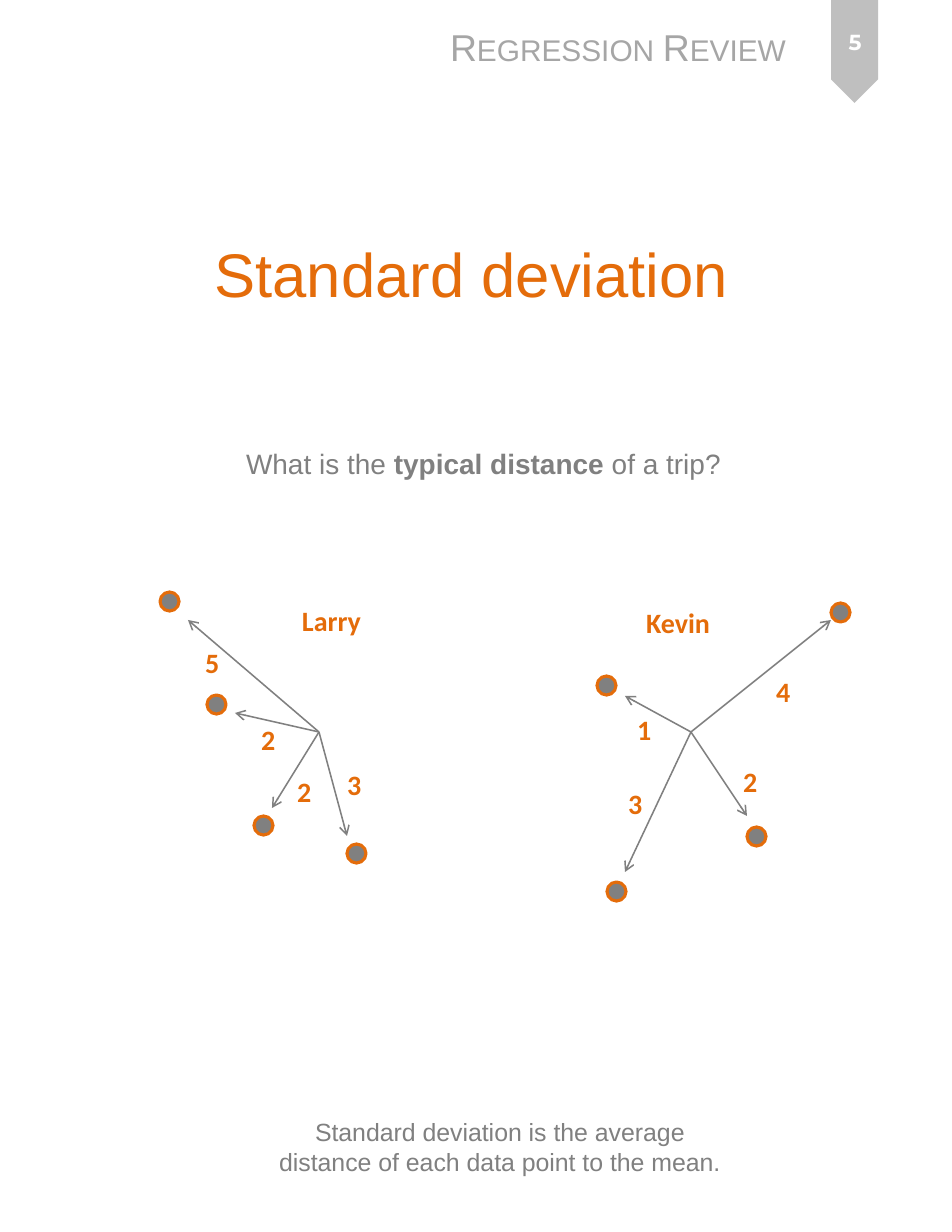
import pptx
import pptx.util
import pptx.dml.color
import pptx.enum.shapes
import pptx.enum.text
import pptx.oxml.ns
from lxml import etree

COLORS = {"orange": "E46C0A", "gray": "808080", "header": "A6A6A6",
          "ribbon": "BFBFBF", "white": "FFFFFF"}

# Each trip: distance, arrow tip, dot corner, label corner (px)
TRAVELLERS = [
    {"name": "Larry", "name_box": (291, 598, 82, 45), "home": (319, 732), "trips": [
        ("2", (235, 713), (207, 695), (250, 717)),
        ("2", (272, 808), (254, 816), (286, 769)),
        ("5", (188, 620), (160, 592), (194, 640)),
        ("3", (347, 836), (347, 844), (336, 762))]},
    {"name": "Kevin", "name_box": (635, 600, 87, 45), "home": (691, 732), "trips": [
        ("4", (831, 620), (831, 603), (765, 669)),
        ("2", (747, 816), (747, 827), (732, 759)),
        ("1", (625, 696), (597, 676), (626, 707)),
        ("3", (625, 872), (607, 882), (617, 781))]},
]
QUESTION = [("What is the ", False), ("typical distance ", True), ("of a trip?", False)]
CAPTION = "Standard deviation is the average distance of each data point to the mean."
DOT = 19
LABEL = (37, 45)


def px(value):
    return pptx.util.Emu(round(value * 914400 / 112))


def rgb(name):
    return pptx.dml.color.RGBColor.from_string(COLORS[name])


def add_text(box, runs, size, color, font="Arial", center=False, wrap=False, grow=True):
    """Add a text box holding one paragraph of (text, bold) runs."""
    text_box = slide.shapes.add_textbox(*map(px, box))
    frame = text_box.text_frame
    frame.word_wrap = wrap
    if grow:
        frame.auto_size = pptx.enum.text.MSO_AUTO_SIZE.SHAPE_TO_FIT_TEXT
    paragraph = frame.paragraphs[0]
    if center:
        paragraph.alignment = pptx.enum.text.PP_ALIGN.CENTER
    for text, bold in runs:
        run = paragraph.add_run()
        run.text = text
        run.font.name = font
        run.font.size = pptx.util.Pt(size)
        run.font.bold = bold
        run.font.color.rgb = rgb(color)
    return frame


def add_filled(kind, box, fill, outline=None):
    shape = slide.shapes.add_shape(kind, *map(px, box))
    shape.shadow.inherit = False
    shape.fill.solid()
    shape.fill.fore_color.rgb = rgb(fill)
    if outline:
        shape.line.color.rgb = rgb(outline)
        shape.line.width = pptx.util.Pt(2)
    else:
        shape.line.fill.background()
    return shape


def add_arrow(start, end):
    arrow = slide.shapes.add_connector(
        pptx.enum.shapes.MSO_CONNECTOR.STRAIGHT, *map(px, start + end))
    arrow.line.color.rgb = rgb("gray")
    arrow.line.width = pptx.util.Pt(1)
    qn = pptx.oxml.ns.qn
    etree.SubElement(arrow.line._get_or_add_ln(), qn("a:tailEnd"), type="arrow")
    etree.SubElement(arrow._element.spPr, qn("a:effectLst"))


deck = pptx.Presentation()
deck.slide_width, deck.slide_height = px(952), px(1232)
slide = deck.slides.add_slide(deck.slide_layouts[6])
SHAPES = pptx.enum.shapes.MSO_SHAPE

# Page ribbon and running header
ribbon = add_filled(SHAPES.PENTAGON, (803, 28, 103, 47), "ribbon")
ribbon.rotation = 90
page_number = add_text((813, 9, 84, 66), [("5", True)], 14, "white", "Montserrat",
                       center=True, wrap=True, grow=False)
page_number.vertical_anchor = pptx.enum.text.MSO_ANCHOR.MIDDLE
header = add_text((439, 19, 364, 56), [("Regression Review", False)], 24, "header")
header.paragraphs[0].runs[0].font._element.set("cap", "small")

# Title, set one line below the top of its box
title = add_text((67, 159, 809, 196), [("Standard deviation", False)], 39.6, "orange",
                 center=True, wrap=True, grow=False)
title.margin_top = px(77)

# Trips from each traveller's home
for traveller in TRAVELLERS:
    for distance, tip, dot, label in traveller["trips"]:
        add_arrow(traveller["home"], tip)
        add_filled(SHAPES.OVAL, dot + (DOT, DOT), "gray", "orange")
        add_text(label + LABEL, [(distance, True)], 18, "orange", "Calibri")
    add_text(traveller["name_box"], [(traveller["name"], True)], 18, "orange", "Calibri")

# Question and definition
add_text((235, 441, 502, 45), QUESTION, 18, "gray")
add_text((258, 1111, 484, 72), [(CAPTION, False)], 16, "gray", center=True, wrap=True)

deck.save("out.pptx")
